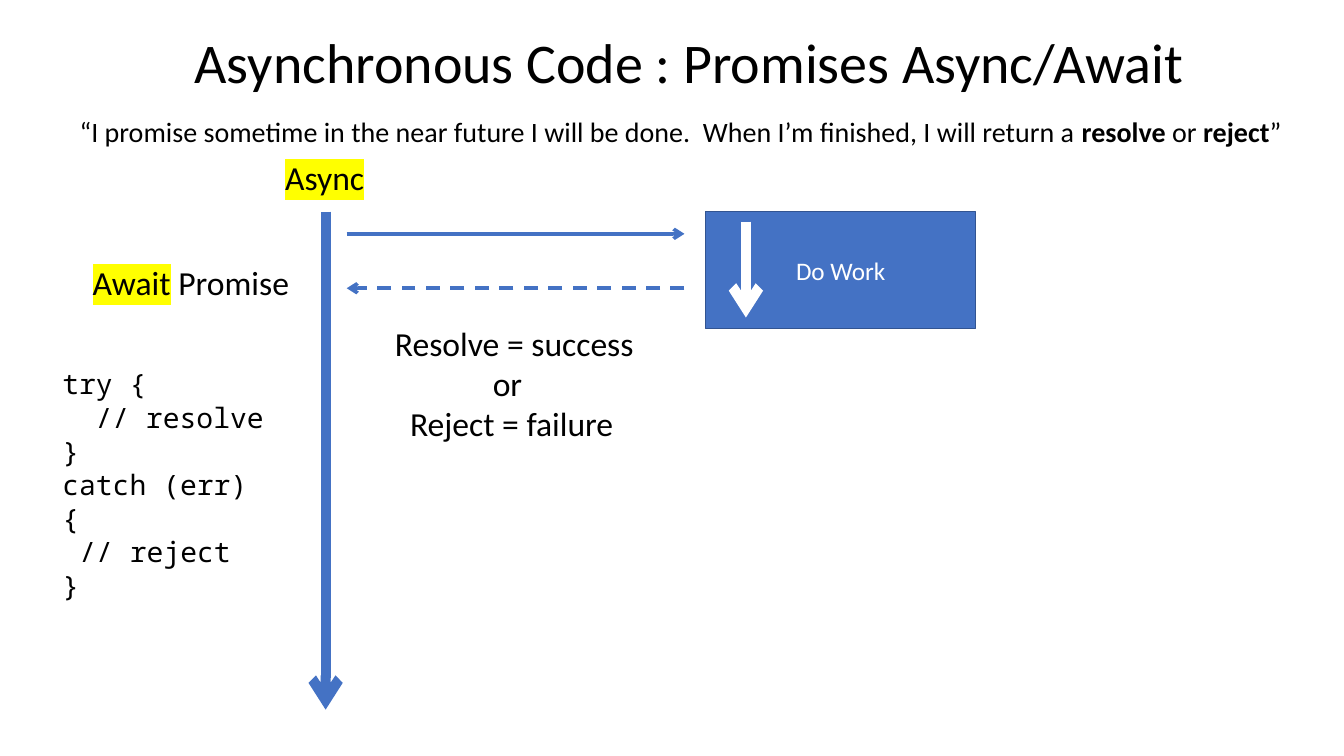
from lxml import etree
from pptx import Presentation
from pptx.dml.color import RGBColor
from pptx.enum.dml import MSO_LINE
from pptx.enum.shapes import MSO_CONNECTOR, MSO_SHAPE
from pptx.enum.text import MSO_ANCHOR, PP_ALIGN
from pptx.oxml.ns import qn
from pptx.util import Inches, Pt

STRAIGHT, RECTANGLE = MSO_CONNECTOR.STRAIGHT, MSO_SHAPE.RECTANGLE
DASH, TOP, MIDDLE = MSO_LINE.DASH, MSO_ANCHOR.TOP, MSO_ANCHOR.MIDDLE
LEFT, CENTER = PP_ALIGN.LEFT, PP_ALIGN.CENTER
BLUE, EDGE, WHITE, BLACK, YELLOW = "4472C4", "325491", "FFFFFF", "000000", "FFFF00"
SANS, MONO = "Calibri", "Noto Sans Mono"
TITLE_ONLY = 5

deck = Presentation()
deck.slide_width, deck.slide_height = Inches(13.33), Inches(7.5)
page = deck.slides.add_slide(deck.slide_layouts[TITLE_ONLY])
shapes = page.shapes
# Every place is a percentage of the slide's width or height.
COLUMN, ROW = deck.slide_width / 100, deck.slide_height / 100


def place(left, top, width, height):
    """Turn percentages of the slide into lengths."""
    return [round(share * unit) for share, unit in
            zip((left, top, width, height), (COLUMN, ROW, COLUMN, ROW))]


def write(box, lines, size, font=SANS, color=BLACK, align=LEFT):
    """Fill a box with lines: an indent in inches, then spans of text and mark."""
    frame = box.text_frame
    for number, (indent, *spans) in enumerate(lines):
        para = frame.add_paragraph() if number else frame.paragraphs[0]
        para.alignment = align
        if indent:
            para._p.get_or_add_pPr().set("marL", str(Inches(indent)))
        for text, mark in spans:
            span = para.add_run()
            span.text = text
            span.font.size, span.font.name = Pt(size), font
            span.font.color.rgb = RGBColor.from_string(color)
            span.font.bold = mark == "bold"
            if mark == "highlight":
                highlight = etree.Element(qn("a:highlight"))
                etree.SubElement(highlight, qn("a:srgbClr"), val=YELLOW)
                span._r.rPr.find(qn("a:solidFill")).addnext(highlight)


title = shapes.title
title.left, title.top, title.width, title.height = place(13.73, 2.93, 75.83, 10.27)
title.text_frame.word_wrap = False
title.text_frame.vertical_anchor = TOP
write(title, [(0, ("Asynchronous Code : Promises Async/Await", None))], 40)

work = shapes.add_shape(RECTANGLE, *place(52.5, 28, 20.1, 15.47))
work.shadow.inherit = False
work.fill.solid()
work.fill.fore_color.rgb = RGBColor.from_string(BLUE)
work.line.color.rgb = RGBColor.from_string(EDGE)
work.line.width = Pt(1)
work.text_frame.vertical_anchor = MIDDLE
write(work, [(0, ("Do Work", None))], 18, color=WHITE, align=CENTER)

arrows = [  # start and tip, colour, width, dash
    ((24.23, 28, 24.23, 93.87), BLUE, 7, None),
    ((25.8, 30.93, 50.93, 30.93), BLUE, 2.5, None),
    ((50.93, 38.13, 25.8, 38.13), BLUE, 2.5, DASH),
    ((55.5, 29.33, 55.5, 42), WHITE, 7, None),
]
for ends, color, width, dash in arrows:
    arrow = shapes.add_connector(STRAIGHT, *place(*ends))
    arrow.line.color.rgb = RGBColor.from_string(color)
    arrow.line.width = Pt(width)
    if dash:
        arrow.line.dash_style = dash
    etree.SubElement(arrow.line._get_or_add_ln(), qn("a:tailEnd"), type="arrow")
    etree.SubElement(arrow._element.spPr, qn("a:effectLst"))

quote = [(0, ("“I promise sometime in the near future I will be done.  "
              "When I’m finished, I will return a ", None),
          ("resolve", "bold"), (" or ", None), ("reject", "bold"), ("”", None))]
outcome = [(0, ("Resolve = success", None)), (0.97, ("or", None)),
           (0.15, ("Reject = failure", None))]
code = [(indent, (text, None)) for indent, text in (
    (0, "try {"), (0.33, "// resolve"), (0, "}"),
    (0, "catch (err) {"), (0.17, "// reject"), (0, "}"))]
texts = [  # place, lines, size, font, wrap
    ((5.18, 14.53, 91.58, 5.87), quote, 20, SANS, False),
    ((20.48, 20.13, 7.43, 6.67), [(0, ("Async", "highlight"))], 24, SANS, False),
    ((6.15, 34, 16.28, 6.67), [(0, ("Await", "highlight"), (" Promise", None))],
     24, SANS, False),
    ((28.65, 42, 19.43, 17.47), outcome, 24, SANS, False),
    ((3.9, 47.87, 16.58, 28.27), code, 20, MONO, True),
]
for spot, lines, size, font, wrap in texts:
    box = shapes.add_textbox(*place(*spot))
    box.text_frame.word_wrap = wrap
    write(box, lines, size, font)

deck.save("out.pptx")
